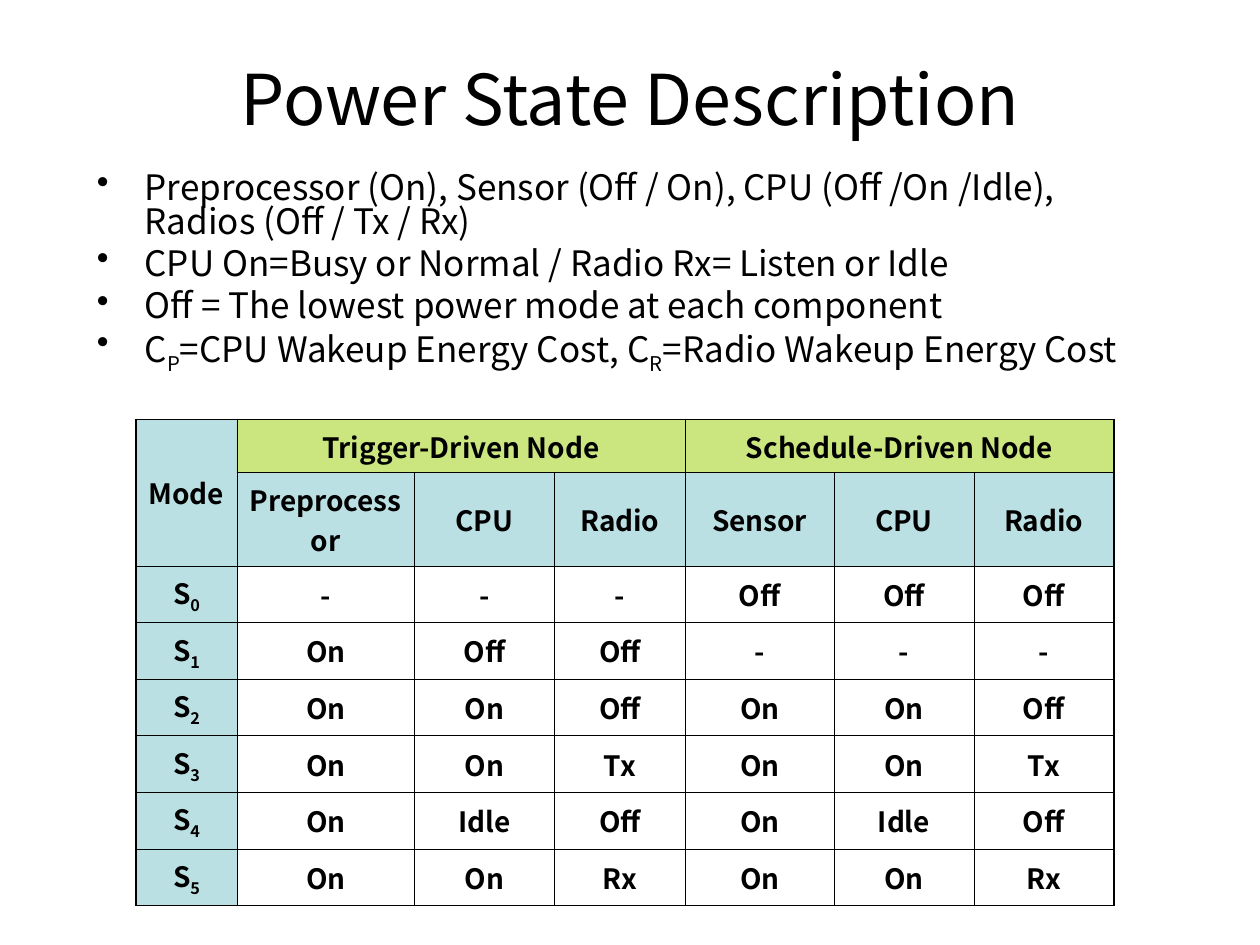
"""Build the power state description slide with its mode table."""
from dataclasses import dataclass
from typing import Optional

from lxml.etree import SubElement
from pptx import Presentation
from pptx.dml.color import RGBColor
from pptx.enum.text import MSO_ANCHOR as Anchor, MSO_AUTO_SIZE as AutoSize, PP_ALIGN as Align
from pptx.oxml.ns import qn
from pptx.util import Inches, Pt

FONT = "Noto Sans CJK KR"
BLACK = RGBColor(0x00, 0x00, 0x00)
BLUE = RGBColor(0xBB, 0xE0, 0xE3)
GREEN = RGBColor(0x99, 0xCC, 0x00)
THIN, THICK = Pt(0.45), Pt(1.08)

TITLE = "Power State Description"
BULLETS = [
    "Preprocessor (On), Sensor (Off / On), CPU (Off /On /Idle),\vRadios (Off / Tx / Rx)",
    "CPU On=Busy or Normal / Radio Rx= Listen or Idle",
    "Off = The lowest power mode at each component",
    "C_P_=CPU Wakeup Energy Cost, C_R_=Radio Wakeup Energy Cost",
]
COLUMN_WIDTHS = [0.8, 1.41, 1.11, 1.04, 1.18, 1.11, 1.11]
ROW_HEIGHTS = [0.37, 0.64] + [0.41] * 6
COMPONENTS = ["Preprocessor", "CPU", "Radio", "Sensor", "CPU", "Radio"]
STATES = [
    ["-", "-", "-", "Off", "Off", "Off"],
    ["On", "Off", "Off", "-", "-", "-"],
    ["On", "On", "Off", "On", "On", "Off"],
    ["On", "On", "Tx", "On", "On", "Tx"],
    ["On", "Idle", "Off", "On", "Idle", "Off"],
    ["On", "On", "Rx", "On", "On", "Rx"],
]


@dataclass
class TableCell:
    """One table entry with its grid place, span and fill."""
    row: int
    column: int
    text: str
    color: Optional[RGBColor] = None
    row_span: int = 1
    column_span: int = 1
    opacity: int = 100


def write_text(paragraph, text: str, size: float, bold: bool = False) -> None:
    """Write text whose parts between underscores are subscripts."""
    font = paragraph.font
    font.name, font.size, font.bold = FONT, Pt(size), bold
    font.color.rgb = BLACK
    if "_" not in text:
        paragraph.text = text
        return
    for index, part in enumerate(text.split("_")):
        if part:
            run = paragraph.add_run()
            run.text = part
            if index % 2:
                run._r.get_or_add_rPr().set("baseline", "-25000")


def add_title(slide) -> None:
    """Place and format the title placeholder."""
    title = slide.shapes.title
    title.left, title.top, title.width, title.height = map(Inches, (0.5, 0.3, 9, 0.95))
    frame = title.text_frame
    frame.auto_size, frame.vertical_anchor = AutoSize.NONE, Anchor.MIDDLE
    paragraph = frame.paragraphs[0]
    paragraph.alignment = Align.CENTER
    write_text(paragraph, TITLE, 40)


def add_bullets(slide) -> None:
    """Add the bulleted explanation above the table."""
    frame = slide.shapes.add_textbox(*map(Inches, (0.67, 1.33, 8.83, 1.83))).text_frame
    frame.word_wrap = True
    for index, text in enumerate(BULLETS):
        paragraph = frame.add_paragraph() if index else frame.paragraphs[0]
        paragraph.line_spacing = 0.8
        if index:
            paragraph.space_before = Pt(3.5 if index == len(BULLETS) - 1 else 5)
        properties = paragraph._p.get_or_add_pPr()
        properties.set("marL", str(Inches(0.38)))
        properties.set("indent", str(-Inches(0.38)))
        SubElement(properties, qn("a:buChar")).set("char", "•")
        write_text(paragraph, text, 20)


def set_borders(cell, item: TableCell) -> None:
    """Draw thin inner borders and thick ones along the table's edge."""
    outer = {
        "a:lnL": item.column == 0,
        "a:lnR": item.column + item.column_span == len(COLUMN_WIDTHS),
        "a:lnT": item.row == 0,
        "a:lnB": item.row + item.row_span == len(ROW_HEIGHTS),
    }
    properties = cell._tc.get_or_add_tcPr()
    for tag, is_outer in outer.items():
        line = SubElement(properties, qn(tag), w=str(THICK if is_outer else THIN))
        fill = SubElement(line, qn("a:solidFill"))
        SubElement(fill, qn("a:srgbClr"), val=str(BLACK))


def fill_cell(table, item: TableCell) -> None:
    """Merge, outline, colour and label one cell."""
    cell = table.cell(item.row, item.column)
    if item.row_span * item.column_span > 1:
        cell.merge(table.cell(item.row + item.row_span - 1, item.column + item.column_span - 1))
    set_borders(cell, item)
    if item.color is None:
        cell.fill.background()
    else:
        cell.fill.solid()
        cell.fill.fore_color.rgb = item.color
        if item.opacity < 100:
            color = cell._tc.tcPr.find(qn("a:solidFill")).find(qn("a:srgbClr"))
            SubElement(color, qn("a:alpha"), val=str(item.opacity * 1000))
    cell.vertical_anchor = Anchor.MIDDLE
    paragraph = cell.text_frame.paragraphs[0]
    paragraph.alignment = Align.CENTER
    write_text(paragraph, item.text, 16, bold=True)


def table_cells() -> list[TableCell]:
    """List the header cells and the state cells."""
    cells = [
        TableCell(0, 0, "Mode", BLUE, row_span=2),
        TableCell(0, 1, "Trigger-Driven Node", GREEN, column_span=3, opacity=50),
        TableCell(0, 4, "Schedule-Driven Node", GREEN, column_span=3, opacity=50),
    ]
    cells += [TableCell(1, column, name, BLUE) for column, name in enumerate(COMPONENTS, 1)]
    for number, states in enumerate(STATES):
        cells.append(TableCell(number + 2, 0, f"S_{number}_", BLUE))
        cells += [TableCell(number + 2, column, state) for column, state in enumerate(states, 1)]
    return cells


def add_mode_table(slide) -> None:
    """Add the table of component states per mode."""
    table = slide.shapes.add_table(
        len(ROW_HEIGHTS), len(COLUMN_WIDTHS), Inches(1.08), Inches(3.33),
        Inches(sum(COLUMN_WIDTHS)), Inches(sum(ROW_HEIGHTS))).table
    table.first_row = table.horz_banding = False
    for column, width in zip(table.columns, COLUMN_WIDTHS):
        column.width = Inches(width)
    for row, height in zip(table.rows, ROW_HEIGHTS):
        row.height = Inches(height)
    for item in table_cells():
        fill_cell(table, item)


def main() -> None:
    """Build and save the presentation."""
    presentation = Presentation()
    presentation.slide_width, presentation.slide_height = Inches(10), Inches(7.5)
    slide = presentation.slides.add_slide(presentation.slide_layouts[5])
    add_title(slide)
    add_mode_table(slide)
    add_bullets(slide)
    presentation.save("out.pptx")


if __name__ == "__main__":
    main()
